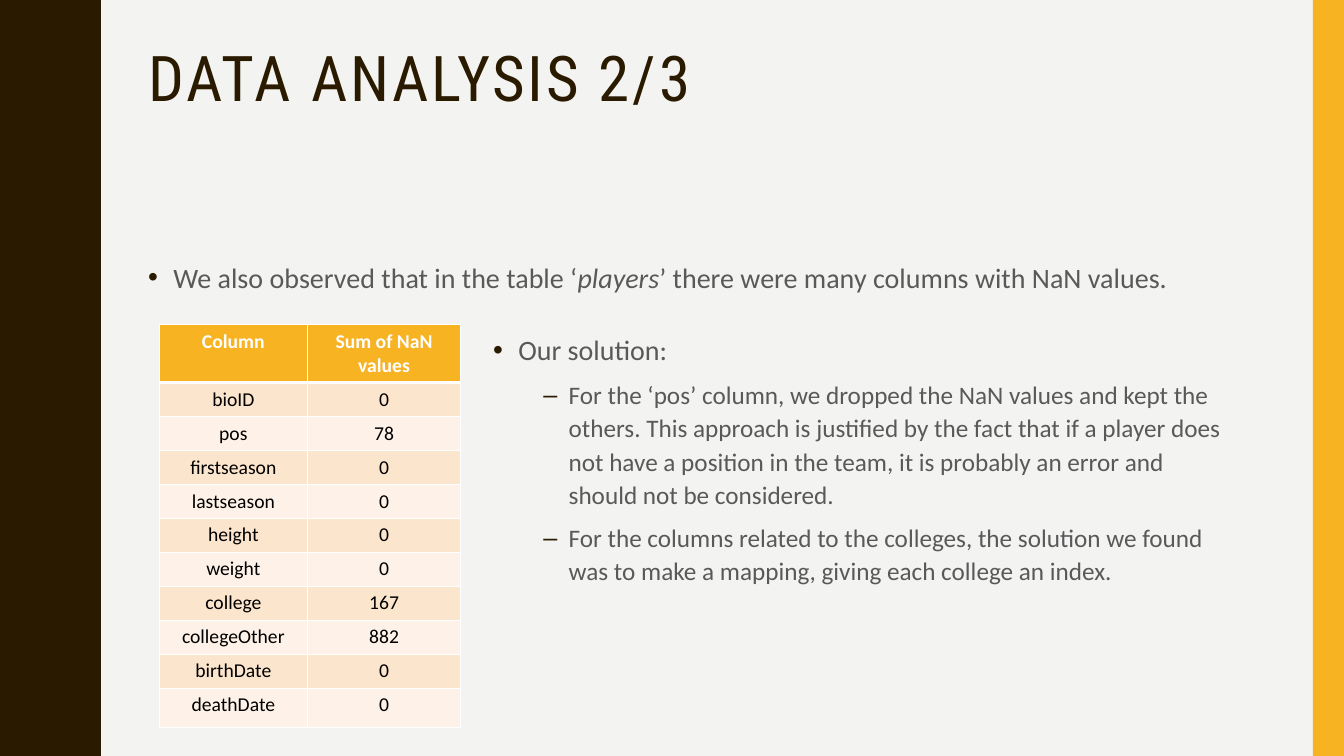
from lxml import etree
from pptx import Presentation
from pptx.dml.color import RGBColor
from pptx.enum.shapes import MSO_SHAPE
from pptx.enum.text import MSO_ANCHOR, MSO_AUTO_SIZE, PP_ALIGN
from pptx.oxml.ns import qn
from pptx.util import Emu, Inches, Pt

RECTANGLE = MSO_SHAPE.RECTANGLE
TOP, NO_FIT = MSO_ANCHOR.TOP, MSO_AUTO_SIZE.NONE
LEFT, CENTER = PP_ALIGN.LEFT, PP_ALIGN.CENTER

COLORS = {
    "background": "F3F3F2", "brown": "2A1A00", "gold": "F8B323", "text": "595959",
    "white": "FFFFFF", "black": "000000", "odd row": "FCE5CD", "even row": "FEF2E8",
}
HEADING_FONT, BODY_FONT = "Roboto Condensed", "Calibri"

TITLE = "DATA ANALYSIS 2/3"
# Each list item: level, then (text, italic) pieces
OBSERVATION = [
    (0, [("We also observed that in the table ‘", False), ("players", True),
         ("’ there were many columns with NaN values.", False)]),
]
SOLUTION = [
    (0, [("Our solution:", False)]),
    (1, [("For the ‘pos’ column, we dropped the NaN values and kept the others. "
          "This approach is justified by the fact that if a player does not have a "
          "position in the team, it is probably an error and should not be "
          "considered.", False)]),
    (1, [("For the columns related to the colleges, the solution we found was to "
          "make a mapping, giving each college an index.", False)]),
]
NAN_COUNTS = [
    ("Column", "Sum of NaN values"),
    ("bioID", 0), ("pos", 78), ("firstseason", 0), ("lastseason", 0), ("height", 0),
    ("weight", 0), ("college", 167), ("collegeOther", 882), ("birthDate", 0),
    ("deathDate", 0),
]
# Bullet, size in points, indent in inches for each list level
LEVELS = [("•", 20, 0.25), ("–", 18, 0.75)]

# Inches
WIDTH, HEIGHT = 13.33, 7.5
MARGIN, CONTENT_WIDTH = 1.37, 11.13
TABLE_LEFT, ROW_TOP = 1.58, 3.22
COLUMN_WIDTHS = [1.47, 1.52]
ROW_HEIGHTS = [0.55] + [0.32] * 9 + [0.39]
STRIPE = 0.31
# Left edge to crest of the wave: (x, y) over half a period
HALF_WAVE = [(0.78, 0), (0.78, 0.07), (0.79, 0.14), (0.8, 0.2), (0.81, 0.25),
             (0.83, 0.29), (0.85, 0.33), (0.87, 0.38), (0.89, 0.42), (0.91, 0.46),
             (0.93, 0.5), (0.95, 0.55), (0.96, 0.61), (0.97, 0.68), (0.97, 0.75)]
PERIOD = 1.5


def rgb(name):
    return RGBColor.from_string(COLORS[name])


def place(shape, left, top, width, height):
    shape.left, shape.top = Inches(left), Inches(top)
    shape.width, shape.height = Inches(width), Inches(height)
    shape.text_frame.word_wrap = True
    shape.text_frame.auto_size = NO_FIT
    shape.text_frame.vertical_anchor = TOP


def style(paragraph, font_name, size, color, align, bold=False):
    paragraph.alignment = align
    font = paragraph.font
    font.name, font.size, font.bold = font_name, Pt(size), bold
    font.color.rgb = rgb(color)


def set_bullet(paragraph, mark, indent):
    properties = paragraph._p.get_or_add_pPr()
    properties.set("marL", str(Inches(indent)))
    properties.set("indent", str(-Inches(0.25)))
    color = etree.Element(qn("a:buClr"))
    etree.SubElement(color, qn("a:srgbClr"), val=COLORS["brown"])
    bullet = etree.Element(qn("a:buChar"), char=mark)
    default_font = properties.find(qn("a:defRPr"))
    default_font.addprevious(color)
    default_font.addprevious(bullet)


def fill_list(frame, items):
    for number, (level, pieces) in enumerate(items):
        paragraph = frame.add_paragraph() if number else frame.paragraphs[0]
        mark, size, indent = LEVELS[level]
        paragraph.level = level
        paragraph.line_spacing = 1.1
        paragraph.space_before, paragraph.space_after = Pt(7), Pt(0)
        style(paragraph, BODY_FONT, size, "text", LEFT)
        set_bullet(paragraph, mark, indent)
        for text, italic in pieces:
            run = paragraph.add_run()
            run.text = text
            if italic:
                run.font.italic = True


def set_borders(cell, top, bottom):
    """Draw white cell borders; top and bottom are widths in points."""
    properties = cell._tc.get_or_add_tcPr()
    widths = {"lnL": 1, "lnR": 1, "lnT": top, "lnB": bottom}
    for position, (side, width) in enumerate(widths.items()):
        line = etree.Element(qn("a:" + side), w=str(Pt(width)))
        fill = etree.SubElement(line, qn("a:solidFill"))
        etree.SubElement(fill, qn("a:srgbClr"), val=COLORS["white"])
        properties.insert(position, line)


def add_nan_table(slide):
    table = slide.shapes.add_table(
        len(NAN_COUNTS), len(COLUMN_WIDTHS), Inches(TABLE_LEFT), Inches(ROW_TOP),
        Inches(sum(COLUMN_WIDTHS)), Inches(sum(ROW_HEIGHTS))).table
    for column, width in zip(table.columns, COLUMN_WIDTHS):
        column.width = Inches(width)
    for r, (values, height) in enumerate(zip(NAN_COUNTS, ROW_HEIGHTS)):
        header = r == 0
        table.rows[r].height = Inches(height)
        fill = "gold" if header else "odd row" if r % 2 else "even row"
        for cell, value in zip(table.rows[r].cells, values):
            cell.text = str(value)
            style(cell.text_frame.paragraphs[0], BODY_FONT, 14,
                  "white" if header else "black", CENTER, bold=header)
            cell.fill.solid()
            cell.fill.fore_color.rgb = rgb(fill)
            set_borders(cell, 3 if r == 1 else 1, 3 if header else 1)


def add_side_bands(slide):
    period = HALF_WAVE + [(x, PERIOD - y) for x, y in HALF_WAVE[-2::-1]]
    edge = [(x, y + PERIOD * n) for n in range(round(HEIGHT / PERIOD)) for x, y in period]
    builder = slide.shapes.build_freeform(0, 0, scale=Inches(1))
    builder.add_line_segments(edge + [(0, HEIGHT)], close=True)
    wave = builder.convert_to_shape(Emu(0), Emu(0))
    stripe = slide.shapes.add_shape(
        RECTANGLE, Inches(WIDTH - STRIPE), 0, Inches(STRIPE), Inches(HEIGHT))
    for band, color in ((wave, "brown"), (stripe, "gold")):
        band.shadow.inherit = False
        band.fill.solid()
        band.fill.fore_color.rgb = rgb(color)
        band.line.fill.background()
        slide.shapes._spTree.insert(2, band._element)


def main():
    deck = Presentation()
    deck.slide_width, deck.slide_height = Inches(WIDTH), Inches(HEIGHT)
    slide = deck.slides.add_slide(deck.slide_layouts.get_by_name("Two Content"))
    slide.background.fill.solid()
    slide.background.fill.fore_color.rgb = rgb("background")
    add_side_bands(slide)

    title, observation, solution = slide.placeholders
    place(title, MARGIN, 0.42, CONTENT_WIDTH, 1.63)
    title.text_frame.text = TITLE
    heading = title.text_frame.paragraphs[0]
    heading.line_spacing = 0.9
    style(heading, HEADING_FONT, 45, "brown", LEFT)
    heading.runs[0].font._element.set("spc", "200")

    place(observation, MARGIN, 2.5, CONTENT_WIDTH, 3.93)
    fill_list(observation.text_frame, OBSERVATION)
    add_nan_table(slide)
    place(solution, 4.79, ROW_TOP, 7.52, 3.27)
    fill_list(solution.text_frame, SOLUTION)
    deck.save("out.pptx")


if __name__ == "__main__":
    main()
